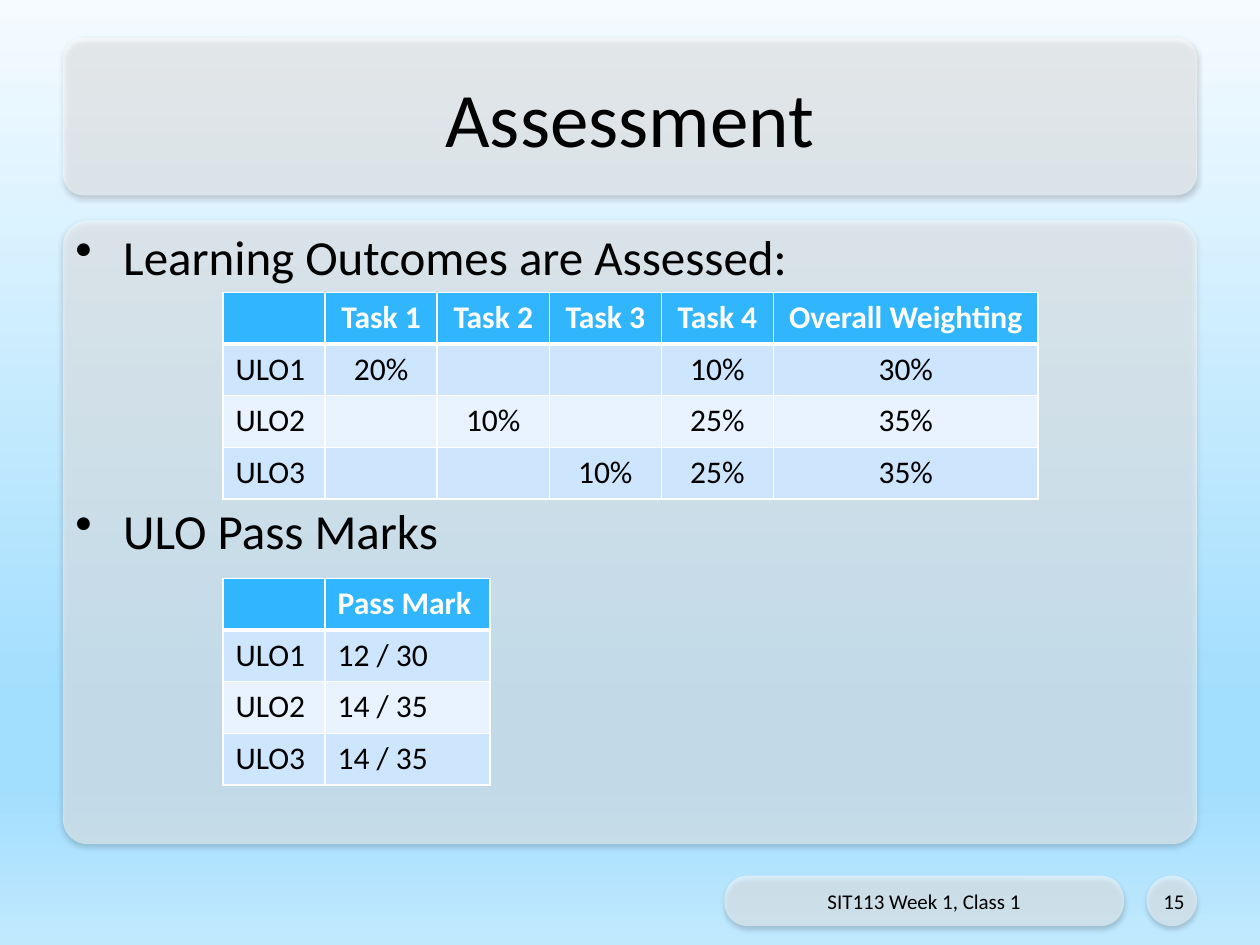
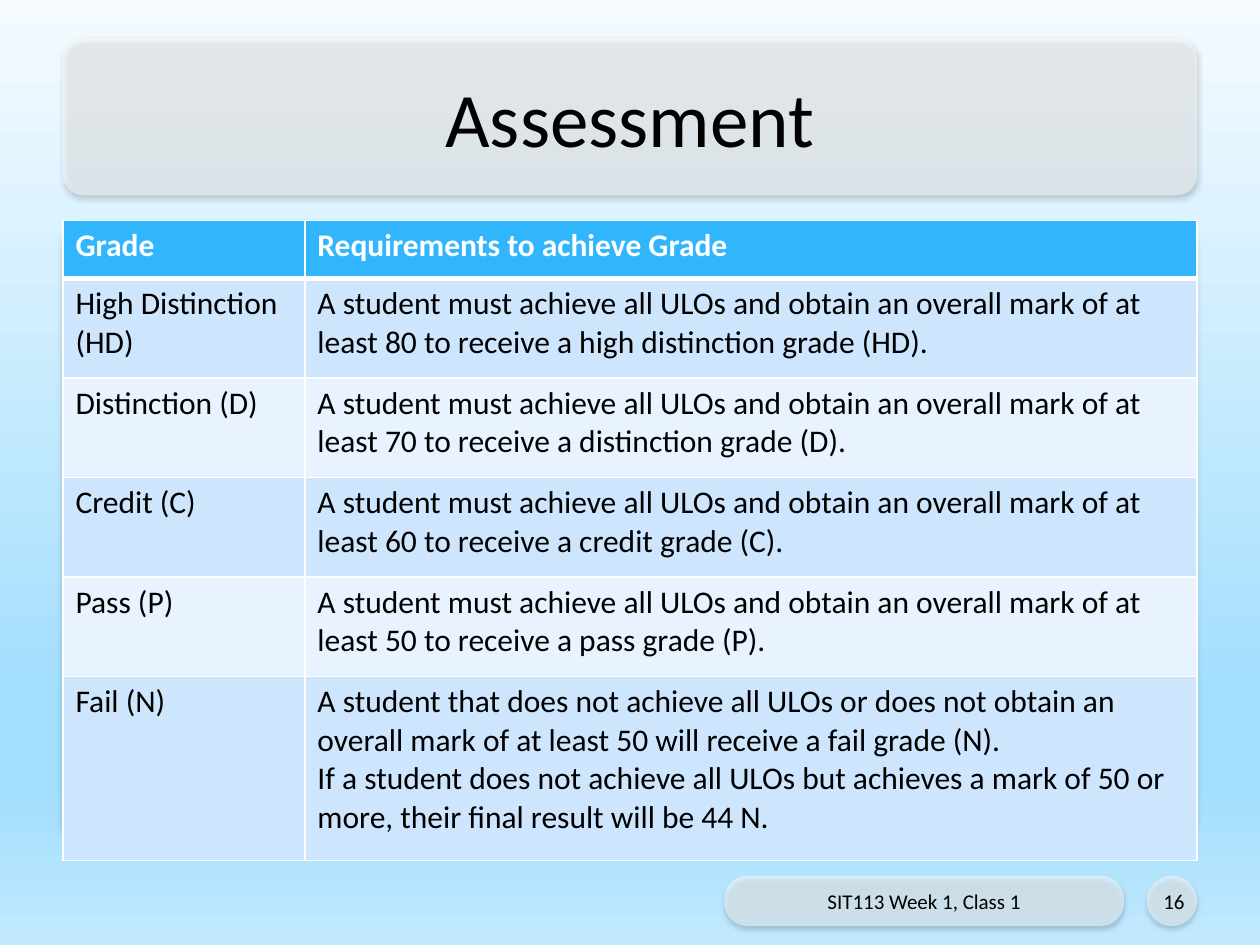
from dataclasses import dataclass

from lxml import etree
from pptx import Presentation
from pptx.dml.color import RGBColor
from pptx.enum.shapes import MSO_SHAPE
from pptx.enum.text import MSO_ANCHOR, PP_ALIGN
from pptx.oxml import parse_xml
from pptx.oxml.ns import nsdecls, qn
from pptx.util import Inches, Pt

ROUNDED = MSO_SHAPE.ROUNDED_RECTANGLE
TOP, MIDDLE = MSO_ANCHOR.TOP, MSO_ANCHOR.MIDDLE
LEFT, CENTER, RIGHT = PP_ALIGN.LEFT, PP_ALIGN.CENTER, PP_ALIGN.RIGHT

FONT = "Calibri"
COLORS = {
    "text": "000000",
    "panel": "FFFFFF",
    "shadow": "000000",
    "border": "FFFFFF",
    "header": "31B6FD",
    "header_text": "FFFFFF",
    "odd_row": "CEE5FE",
    "even_row": "E8F3FF",
    "sky_top": "F5FBFF",
    "sky_deep": "A2DEFE",
    "sky_bottom": "C1E9FE",
}
SKY_STOPS = [(0, "sky_top"), (74, "sky_deep"), (83, "sky_deep"), (100, "sky_bottom")]
FOOTER = "SIT113 Week 1, Class 1"


@dataclass(frozen=True)
class Panel:
    left: float
    top: float
    width: float
    height: float
    rounding: float

    def box(self) -> list:
        return [Inches(v) for v in (self.left, self.top, self.width, self.height)]


@dataclass(frozen=True)
class TableSpec:
    left: float
    top: float
    column_widths: list
    row_heights: list
    rows: list
    value_alignment: PP_ALIGN = LEFT


BODY_PANEL = Panel(0.5, 1.75, 9, 4.95, 0.04)
NUMBER_PANEL = Panel(9.1, 6.95, 0.4, 0.4, 0.5)
FOOTER_PANEL = Panel(5.75, 6.95, 3.17, 0.4, 0.46)
TITLE_PANEL = Panel(0.5, 0.3, 9, 1.25, 0.13)
PANELS = [BODY_PANEL, NUMBER_PANEL, FOOTER_PANEL, TITLE_PANEL]

WEIGHTINGS = TableSpec(
    1.77, 2.32, [0.81] + [0.89] * 4 + [2.1], [0.41] * 4,
    [
        ["", "Task 1", "Task 2", "Task 3", "Task 4", "Overall Weighting"],
        ["ULO1", "20%", "", "", "10%", "30%"],
        ["ULO2", "", "10%", "", "25%", "35%"],
        ["ULO3", "", "", "10%", "25%", "35%"],
    ],
    CENTER,
)
PASS_MARKS = TableSpec(
    1.77, 4.59, [0.81, 1.31], [0.41] * 4,
    [["", "Pass Mark"], ["ULO1", "12 / 30"], ["ULO2", "14 / 35"], ["ULO3", "14 / 35"]],
)
PASSING_GRADES = [
    ("High Distinction", "HD", 80),
    ("Distinction", "D", 70),
    ("Credit", "C", 60),
    ("Pass", "P", 50),
]
GRADES = TableSpec(
    0.5, 1.75, [1.92, 7.08], [0.46] + [0.79] * 4 + [1.46],
    [
        ["Grade", "Requirements to achieve Grade"],
        *[
            [
                f"{grade} ({code})",
                "A student must achieve all ULOs and obtain an overall mark of at least "
                f"{mark} to receive a {grade.lower()} grade ({code}).",
            ]
            for grade, code, mark in PASSING_GRADES
        ],
        [
            "Fail (N)",
            "A student that does not achieve all ULOs or does not obtain an overall mark "
            "of at least 50 will receive a fail grade (N).\n"
            "If a student does not achieve all ULOs but achieves a mark of 50 or more, "
            "their final result will be 44 N.",
        ],
    ],
)


def color(name: str) -> RGBColor:
    return RGBColor.from_string(COLORS[name])


def style_paragraph(paragraph, size: float, alignment=LEFT, color_name="text", bold=False) -> None:
    paragraph.alignment = alignment
    font = paragraph.font
    font.name, font.size, font.bold = FONT, Pt(size), bold
    font.color.rgb = color(color_name)


def paint_background(slide) -> None:
    fill = slide.background.fill
    fill.gradient()
    fill.gradient_angle = 270
    stops = slide.background._cSld.find(".//" + qn("a:gsLst"))
    for stop in list(stops):
        stops.remove(stop)
    for position, name in SKY_STOPS:
        stop = etree.SubElement(stops, qn("a:gs"), pos=str(position * 1000))
        etree.SubElement(stop, qn("a:srgbClr"), val=COLORS[name])


def add_panel(slide, panel: Panel) -> None:
    """Draw a half-transparent rounded panel with a soft shadow below."""
    shape = slide.shapes.add_shape(ROUNDED, *panel.box())
    shape.adjustments[0] = panel.rounding
    shape.fill.solid()
    shape.fill.fore_color.rgb = color("panel")
    shape.line.fill.background()
    properties = shape._element.spPr
    fill_color = properties.find(qn("a:solidFill")).find(qn("a:srgbClr"))
    etree.SubElement(fill_color, qn("a:alpha"), val="50000")
    properties.append(parse_xml(
        f'<a:effectLst {nsdecls("a")}><a:outerShdw blurRad="{Pt(3.1)}" dist="{Pt(1.8)}" '
        f'dir="5400000" rotWithShape="0"><a:srgbClr val="{COLORS["shadow"]}">'
        '<a:alpha val="35000"/></a:srgbClr></a:outerShdw></a:effectLst>'
    ))


def add_text(slide, panel: Panel, text: str, size: float, alignment=CENTER, anchor=MIDDLE):
    frame = slide.shapes.add_textbox(*panel.box()).text_frame
    frame.word_wrap = True
    frame.vertical_anchor = anchor
    frame.text = text
    for paragraph in frame.paragraphs:
        style_paragraph(paragraph, size, alignment)
    return frame


def add_bullets(slide, lines: list, gap: float) -> None:
    """Fill the body panel with bullets, gap points apart."""
    frame = add_text(slide, BODY_PANEL, "\n".join(lines), 28, LEFT, TOP)
    for index, paragraph in enumerate(frame.paragraphs):
        if index:
            paragraph.space_before = Pt(gap)
        properties = paragraph._p.get_or_add_pPr()
        properties.set("marL", str(Inches(0.38)))
        properties.set("indent", str(Inches(-0.38)))
        bullet = parse_xml(f'<a:buChar {nsdecls("a")} char="•"/>')
        properties.find(qn("a:defRPr")).addprevious(bullet)


def add_borders(cell, row_index: int) -> None:
    """Thin lines all round, with a thick one under the header row."""
    widths = {"L": 1, "R": 1, "T": 3 if row_index == 1 else 1, "B": 3 if row_index == 0 else 1}
    properties = cell._tc.get_or_add_tcPr()
    for side, width in widths.items():
        properties.append(parse_xml(
            f'<a:ln{side} {nsdecls("a")} w="{Pt(width)}"><a:solidFill>'
            f'<a:srgbClr val="{COLORS["border"]}"/></a:solidFill></a:ln{side}>'
        ))


def add_table(slide, spec: TableSpec) -> None:
    table = slide.shapes.add_table(
        len(spec.rows), len(spec.column_widths), Inches(spec.left), Inches(spec.top),
        Inches(sum(spec.column_widths)), Inches(sum(spec.row_heights)),
    ).table
    for column, width in zip(table.columns, spec.column_widths):
        column.width = Inches(width)
    for row_index, (row, height) in enumerate(zip(table.rows, spec.row_heights)):
        row.height = Inches(height)
        is_header = row_index == 0
        fill_name = "header" if is_header else "odd_row" if row_index % 2 else "even_row"
        text_name = "header_text" if is_header else "text"
        for column_index, cell in enumerate(row.cells):
            cell.text = spec.rows[row_index][column_index]
            add_borders(cell, row_index)
            cell.fill.solid()
            cell.fill.fore_color.rgb = color(fill_name)
            alignment = spec.value_alignment if column_index else LEFT
            for paragraph in cell.text_frame.paragraphs:
                style_paragraph(paragraph, 18, alignment, text_name, is_header)


def add_slide(presentation, title: str, number: int):
    """Add a slide with the shared background, panels, title and footer."""
    slide = presentation.slides.add_slide(presentation.slide_layouts[6])
    paint_background(slide)
    for panel in PANELS:
        add_panel(slide, panel)
    add_text(slide, TITLE_PANEL, title, 44)
    add_text(slide, FOOTER_PANEL, FOOTER, 12)
    add_text(slide, NUMBER_PANEL, str(number), 12, RIGHT)
    return slide


def main() -> None:
    presentation = Presentation()
    presentation.slide_width, presentation.slide_height = Inches(10), Inches(7.5)

    outcomes = add_slide(presentation, "Assessment", 15)
    add_bullets(outcomes, ["Learning Outcomes are Assessed:", "ULO Pass Marks"], 123)
    add_table(outcomes, WEIGHTINGS)
    add_table(outcomes, PASS_MARKS)

    grades = add_slide(presentation, "Assessment", 16)
    add_table(grades, GRADES)

    presentation.save("out.pptx")


if __name__ == "__main__":
    main()
